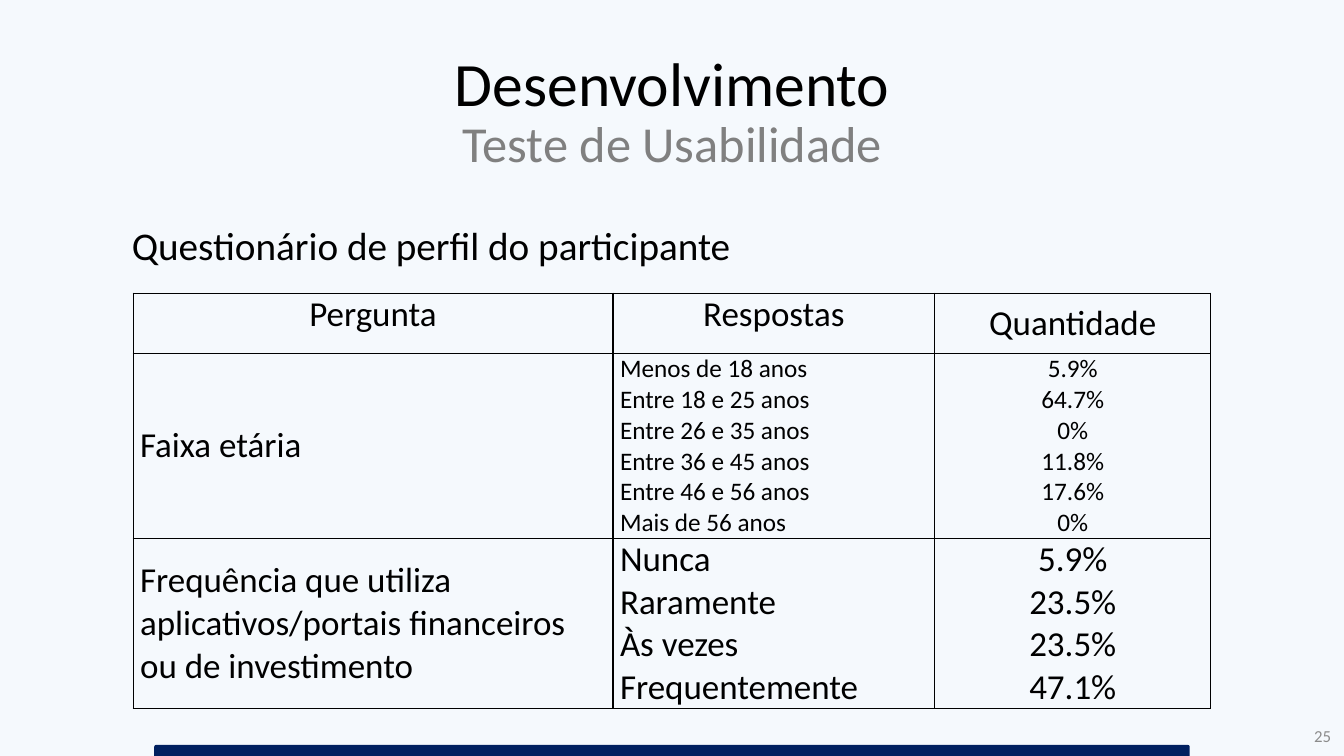
"""Builds the usability test slide with the participant profile table."""
import dataclasses

import lxml.etree
import pptx
import pptx.dml.color
import pptx.enum.shapes
import pptx.enum.text
import pptx.oxml.ns
import pptx.util

Inches = pptx.util.Inches
Pt = pptx.util.Pt
Align = pptx.enum.text.PP_ALIGN
Anchor = pptx.enum.text.MSO_ANCHOR
Shape = pptx.enum.shapes.MSO_SHAPE


@dataclasses.dataclass(frozen=True)
class Theme:
    """Colours and type sizes of the slide."""
    font: str = "Calibri"
    background: str = "F5F9FD"
    ink: str = "000000"
    subtitle_ink: str = "808080"
    number_ink: str = "8C8C8C"
    bar: str = "002060"
    title: int = 44
    subtitle: int = 36
    heading: int = 28
    table: int = 25
    table_small: int = 18
    number: int = 12
    border: float = 1


class SlideBuilder:
    """Holds the theme and the current page."""

    def __init__(self, page, theme):
        """Paint the page background."""
        self.page = page
        self.theme = theme
        self.paint(page.background.fill, theme.background)

    def paint(self, fill, colour):
        """Make a fill solid."""
        fill.solid()
        fill.fore_color.rgb = pptx.dml.color.RGBColor.from_string(colour)

    def span(self, para, text, size, colour):
        """Add one styled run."""
        span = para.add_run()
        span.text = text
        span.font.name = self.theme.font
        span.font.size = Pt(size)
        span.font.color.rgb = pptx.dml.color.RGBColor.from_string(colour)

    def text(self, place, spans, align=Align.LEFT, anchor=Anchor.TOP, spacing=1.0):
        """Add a text box with one line per run."""
        box = self.page.shapes.add_textbox(*map(Inches, place))
        frame = box.text_frame
        frame.word_wrap = True
        frame.vertical_anchor = anchor
        para = frame.paragraphs[0]
        para.alignment = align
        para.line_spacing = spacing
        for index, span in enumerate(spans):
            if index:
                para.add_line_break()
            self.span(para, *span)

    def bar(self, place):
        """Add the footer bar with rounded top corners."""
        bar = self.page.shapes.add_shape(Shape.ROUND_2_SAME_RECTANGLE, *map(Inches, place))
        bar.shadow.inherit = False
        self.paint(bar.fill, self.theme.bar)
        bar.line.fill.background()

    def borders(self, cell):
        """Draw a thin line on every side of a cell."""
        properties = cell._tc.get_or_add_tcPr()
        for index, side in enumerate(("lnL", "lnR", "lnT", "lnB")):
            line = lxml.etree.Element(pptx.oxml.ns.qn(f"a:{side}"), w=str(Pt(self.theme.border)))
            fill = lxml.etree.SubElement(line, pptx.oxml.ns.qn("a:solidFill"))
            lxml.etree.SubElement(fill, pptx.oxml.ns.qn("a:srgbClr"), val=self.theme.ink)
            properties.insert(index, line)

    def cell(self, cell, lines, size, align, anchor):
        """Fill one table cell, one paragraph per line."""
        cell.fill.background()
        cell.margin_left = cell.margin_right = Inches(0.07)
        cell.margin_top = cell.margin_bottom = 0
        cell.vertical_anchor = anchor
        frame = cell.text_frame
        for index, line in enumerate(lines):
            para = frame.add_paragraph() if index else frame.paragraphs[0]
            para.alignment = align
            self.span(para, line, size, self.theme.ink)
        self.borders(cell)

    def table(self, left, top, widths, heights, header, questions):
        """Add the table of questions, answers and shares."""
        table = self.page.shapes.add_table(
            len(heights), len(widths), Inches(left), Inches(top),
            Inches(sum(widths)), Inches(sum(heights))).table
        table.first_row = table.horz_banding = False
        for column, width in zip(table.columns, widths):
            column.width = Inches(width)
        for row, height in zip(table.rows, heights):
            row.height = Inches(height)
        anchors = (Anchor.TOP, Anchor.TOP, Anchor.MIDDLE)
        for column, (label, anchor) in enumerate(zip(header, anchors)):
            self.cell(table.cell(0, column), [label], self.theme.table, Align.CENTER, anchor)
        for row, (question, size, answers) in enumerate(questions, 1):
            columns = (
                ([question], self.theme.table, Align.LEFT),
                (answers.keys(), size, Align.LEFT),
                (answers.values(), size, Align.CENTER),
            )
            for column, (lines, points, align) in enumerate(columns):
                self.cell(table.cell(row, column), lines, points, align, Anchor.MIDDLE)


def main():
    """Build and save the deck."""
    theme = Theme()
    deck = pptx.Presentation()
    deck.slide_width = Inches(13.33)
    deck.slide_height = Inches(7.5)
    builder = SlideBuilder(deck.slides.add_slide(deck.slide_layouts[6]), theme)

    builder.text(
        (0.92, 0.4, 11.5, 1.45),
        [("Desenvolvimento", theme.title, theme.ink),
         ("Teste de Usabilidade", theme.subtitle, theme.subtitle_ink)],
        Align.CENTER, Anchor.MIDDLE, 0.9)
    builder.text(
        (1.21, 2.2, 11.67, 0.6),
        [("Questionário de perfil do participante", theme.heading, theme.ink)],
        spacing=0.9)
    builder.bar((1.53, 7.39, 10.27, 0.11))
    builder.text((10.3, 7.1, 3, 0.4), [("25", theme.number, theme.number_ink)],
                 Align.RIGHT, Anchor.MIDDLE)

    ages = {
        "Menos de 18 anos": "5.9%",
        "Entre 18 e 25 anos": "64.7%",
        "Entre 26 e 35 anos": "0%",
        "Entre 36 e 45 anos": "11.8%",
        "Entre 46 e 56 anos": "17.6%",
        "Mais de 56 anos": "0%",
    }
    frequencies = {
        "Nunca": "5.9%",
        "Raramente": "23.5%",
        "Às vezes": "23.5%",
        "Frequentemente": "47.1%",
    }
    builder.table(
        1.32, 2.91, (4.76, 3.19, 2.74), (0.6, 1.83, 1.69),
        ("Pergunta", "Respostas", "Quantidade"),
        [("Faixa etária", theme.table_small, ages),
         ("Frequência que utiliza aplicativos/portais financeiros ou de investimento",
          theme.table, frequencies)])
    deck.save("out.pptx")


if __name__ == "__main__":
    main()
